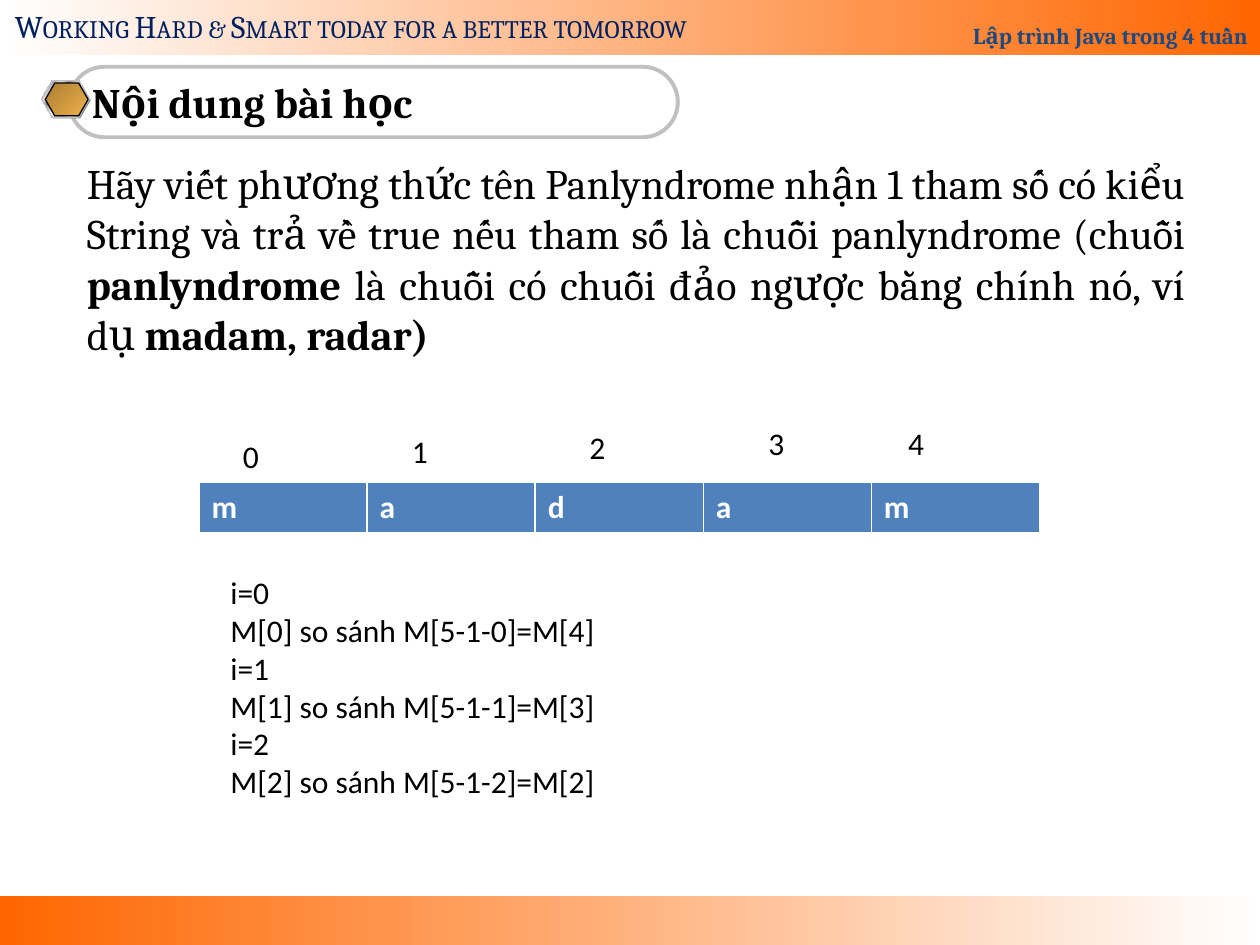
from lxml import etree
from pptx import Presentation
from pptx.dml.color import RGBColor
from pptx.enum.shapes import MSO_SHAPE
from pptx.enum.text import MSO_ANCHOR, PP_ALIGN
from pptx.oxml.ns import qn
from pptx.util import Inches, Pt

RECT, PILL, HEXAGON = MSO_SHAPE.RECTANGLE, MSO_SHAPE.ROUNDED_RECTANGLE, MSO_SHAPE.HEXAGON
TOP, MIDDLE, BOTTOM = MSO_ANCHOR.TOP, MSO_ANCHOR.MIDDLE, MSO_ANCHOR.BOTTOM
LEFT, RIGHT, JUSTIFY = PP_ALIGN.LEFT, PP_ALIGN.RIGHT, PP_ALIGN.JUSTIFY

WHITE = RGBColor(0xFF, 0xFF, 0xFF)
BLACK = RGBColor(0, 0, 0)
ORANGE = RGBColor(0xFF, 0x66, 0x00)
NAVY = RGBColor(0x00, 0x20, 0x60)
DARK_BLUE = RGBColor(0x1F, 0x49, 0x7D)
CELL_BLUE = RGBColor(0x4F, 0x81, 0xBD)
SILVER = RGBColor(0xC0, 0xC0, 0xC0)
GRAY = RGBColor(0x80, 0x80, 0x80)
LIGHT = RGBColor(0xE6, 0xE6, 0xE6)
STEEL = RGBColor(0x7D, 0x84, 0x96)
BRONZE = RGBColor(0xAB, 0x7E, 0x34)
GOLD = RGBColor(0xEF, 0xB0, 0x49)

CHROME = [(0, LIGHT), (7, STEEL), (26, LIGHT), (34, STEEL), (46, LIGHT), (50, WHITE),
          (54, LIGHT), (66, STEEL), (74, LIGHT), (93, STEEL), (100, LIGHT)]


def write_text(frame, paragraphs, size=18, font="Calibri", color=BLACK, bold=False,
               align=LEFT, anchor=TOP, wrap=False, spacing=None, small_caps=False):
    """Each paragraph is a string or a list of (text, bold) runs."""
    frame.word_wrap = wrap
    frame.vertical_anchor = anchor
    for i, content in enumerate(paragraphs):
        paragraph = frame.paragraphs[0] if i == 0 else frame.add_paragraph()
        paragraph.alignment = align
        if spacing:
            paragraph.line_spacing = spacing
        runs = [(content, bold)] if isinstance(content, str) else content
        for text, run_bold in runs:
            run = paragraph.add_run()
            run.text = text
            run.font.size = Pt(size)
            run.font.name = font
            run.font.bold = run_bold
            run.font.color.rgb = color
            if small_caps:
                run.font._element.set("cap", "small")


def add_text(slide, box, paragraphs, **style):
    label = slide.shapes.add_textbox(*map(Inches, box))
    write_text(label.text_frame, paragraphs, **style)


def set_gradient(shape, stops, angle):
    shape.fill.gradient()
    shape.fill.gradient_angle = (360 - angle) % 360
    stop_list = shape._element.spPr.find(qn("a:gradFill")).find(qn("a:gsLst"))
    for old in list(stop_list):
        stop_list.remove(old)
    for position, color in stops:
        stop = etree.SubElement(stop_list, qn("a:gs"), pos=str(position * 1000))
        etree.SubElement(stop, qn("a:srgbClr"), val=str(color))


def add_panel(slide, kind, box, fill=None, stops=None, angle=0, line=None, width=0.75):
    panel = slide.shapes.add_shape(kind, *map(Inches, box))
    panel.shadow.inherit = False
    if stops:
        set_gradient(panel, stops, angle)
    elif fill is not None:
        panel.fill.solid()
        panel.fill.fore_color.rgb = fill
    else:
        panel.fill.background()
    if line is None:
        panel.line.fill.background()
    else:
        panel.line.color.rgb = line
        panel.line.width = Pt(width)
    return panel


def add_header(slide, box):
    left, top, _, _ = box
    band = add_panel(slide, RECT, box, stops=[(0, WHITE), (100, ORANGE)])
    write_text(band.text_frame, ["Lập trình Java trong 4 tuần"], size=13, font="Cambria",
               color=DARK_BLUE, bold=True, align=RIGHT, anchor=BOTTOM, wrap=True, spacing=1.8)
    add_text(slide, (left + 0.02, top + 0.01, 5.9, 0.4),
             ["Working Hard & Smart today for a better tomorrow"],
             font="Cambria", color=NAVY, small_caps=True)


def add_footer(slide, box):
    add_panel(slide, RECT, box, stops=[(0, ORANGE), (100, WHITE)])


def add_title(slide, box):
    left, top, width, height = box
    # Rounded title frame
    frame = add_panel(slide, PILL, (left + 0.22, top, width - 0.22, height),
                      line=SILVER, width=2.25)
    frame.adjustments[0] = 0.5
    write_text(frame.text_frame, ["Nội dung bài học"], size=24, font="Cambria",
               bold=True, anchor=MIDDLE)
    # Bullet: shadow, metal rim, gold core
    layers = [((0.01, 0.12, 0.38, 0.29), {"fill": GRAY}),
              ((0, 0.11, 0.38, 0.29), {"stops": CHROME, "angle": 45, "line": SILVER}),
              ((0.03, 0.13, 0.34, 0.26),
               {"stops": [(0, BRONZE), (100, GOLD)], "angle": 45, "line": BLACK})]
    for (dx, dy, w, h), style in layers:
        hexagon = add_panel(slide, HEXAGON, (left + dx, top + dy, w, h), **style)
        hexagon.adjustments[0] = 0.289


def add_task(slide, box):
    add_text(slide, box, [[
        ("Hãy viết phương thức tên Panlyndrome nhận 1 tham số có kiểu String và trả về "
         "true nếu tham số là chuỗi panlyndrome (chuỗi ", False),
        ("panlyndrome", True),
        (" là chuỗi có chuỗi đảo ngược bằng chính nó, ví dụ ", False),
        ("madam, radar)", True),
    ]], size=24, font="Cambria", align=JUSTIFY, wrap=True)


def set_borders(cell):
    properties = cell._tc.get_or_add_tcPr()
    for i, (side, points) in enumerate([("L", 1), ("R", 1), ("T", 1), ("B", 3)]):
        border = etree.Element(qn(f"a:ln{side}"), w=str(Pt(points)))
        solid = etree.SubElement(border, qn("a:solidFill"))
        etree.SubElement(solid, qn("a:srgbClr"), val=str(WHITE))
        properties.insert(i, border)


def add_letters(slide, box, word):
    left, top, width, height = box
    table = slide.shapes.add_table(1, len(word), *map(Inches, box)).table
    table.rows[0].height = Inches(height)
    for i, letter in enumerate(word):
        table.columns[i].width = Inches(width / len(word))
        cell = table.cell(0, i)
        cell.fill.solid()
        cell.fill.fore_color.rgb = CELL_BLUE
        set_borders(cell)
        write_text(cell.text_frame, [letter], color=WHITE, bold=True, wrap=True)
    # Hand-placed index above each letter
    offsets = [(0.25, 0.41), (1.59, 0.45), (3, 0.48), (4.42, 0.51), (5.53, 0.51)]
    for i, (dx, rise) in enumerate(offsets):
        add_text(slide, (left + dx, top - rise, 0.33, 0.4), [str(i)])


def add_comparisons(slide, box, length):
    lines = []
    for i in range(length // 2 + 1):
        lines += [f"i={i}", f"M[{i}] so sánh M[{length}-1-{i}]=M[{length - 1 - i}]"]
    add_text(slide, box, lines)


def main():
    deck = Presentation()
    deck.slide_width, deck.slide_height = Inches(10), Inches(7.5)
    slide = deck.slides.add_slide(deck.slide_layouts[6])
    word = "madam"
    add_footer(slide, (0, 7.11, 10, 0.39))
    add_header(slide, (0, 0, 10, 0.44))
    add_title(slide, (0.33, 0.53, 5.05, 0.56))
    add_task(slide, (0.59, 1.2, 8.91, 1.72))
    add_letters(slide, (1.58, 3.83, 6.67, 0.41), word)
    add_comparisons(slide, (1.73, 4.5, 3.12, 1.92), len(word))
    deck.save("out.pptx")


if __name__ == "__main__":
    main()
